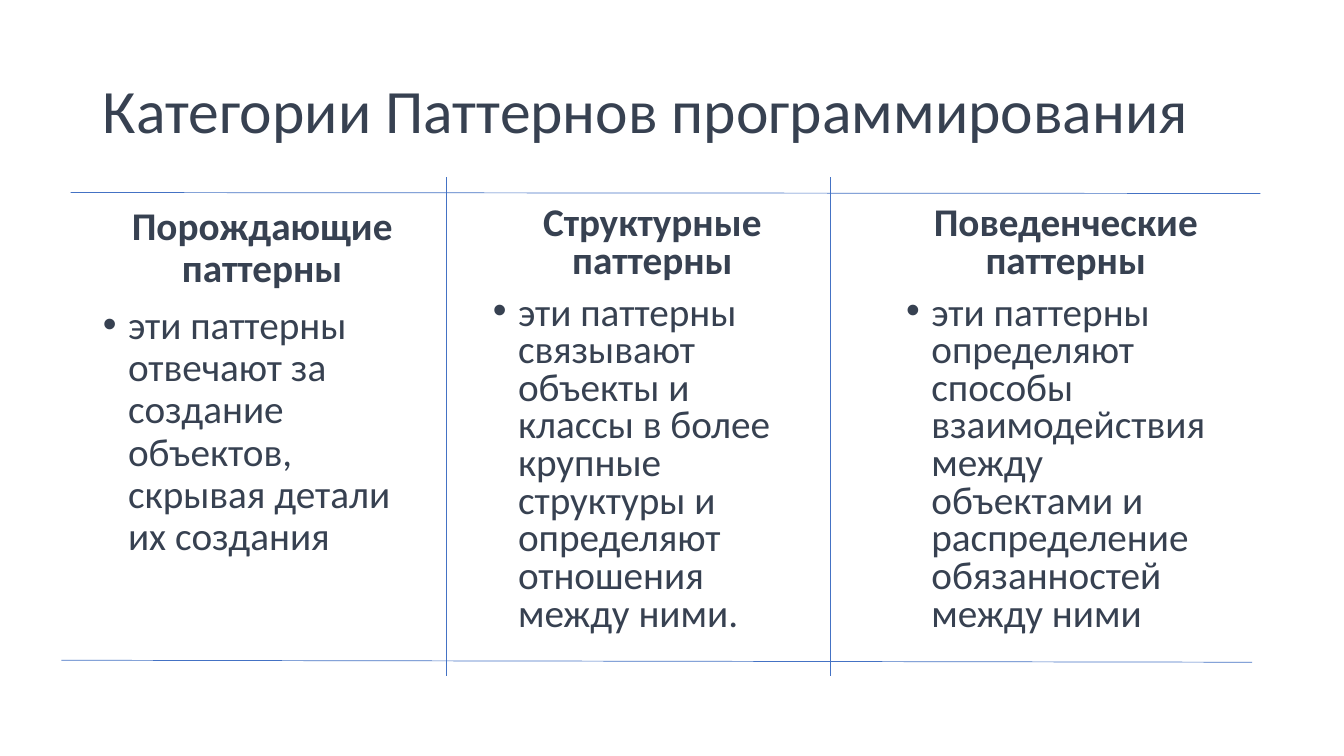
from lxml.etree import SubElement
from pptx import Presentation
from pptx.dml.color import RGBColor
from pptx.enum.shapes import MSO_CONNECTOR
from pptx.enum.text import MSO_ANCHOR, MSO_AUTO_SIZE, PP_ALIGN
from pptx.oxml.ns import qn
from pptx.util import Inches, Pt

INK = RGBColor(0x37, 0x41, 0x51)
RULE = RGBColor(0x44, 0x72, 0xC4)
FONT = "Calibri"

HEADING = "Категории Паттернов программирования"
CATEGORIES = [
    (0.92, 0.9, "Порождающие паттерны",
     "эти паттерны отвечают за создание объектов, скрывая детали их создания"),
    (4.79, 0.8, "Структурные паттерны",
     "эти паттерны связывают объекты и классы в более крупные структуры "
     "и определяют отношения между ними."),
    (8.89, 0.8, "Поведенческие паттерны",
     "эти паттерны определяют способы взаимодействия между объектами "
     "и распределение обязанностей между ними"),
]
COLUMN_TOP, COLUMN_WIDTH, COLUMN_HEIGHT = 2, 3.36, 4.48
DIVIDERS = [
    (8.24, 1.76, 8.24, 6.71),
    (12.42, 6.57, 0.61, 6.55),
    (12.5, 1.92, 0.7, 1.91),
    (4.43, 1.76, 4.43, 6.71),
]


def place(shape, left, top, width, height):
    shape.left, shape.top = Inches(left), Inches(top)
    shape.width, shape.height = Inches(width), Inches(height)


def style(paragraph, size, align, spacing, before, bold=False):
    paragraph.alignment = align
    paragraph.line_spacing = spacing
    paragraph.space_before = Pt(before)
    for run in paragraph.runs:
        run.font.name, run.font.size = FONT, Pt(size)
        run.font.bold = bold
        run.font.color.rgb = INK


def set_bullet(paragraph, bulleted):
    props = paragraph._p.get_or_add_pPr()
    indent = Inches(0.25) if bulleted else 0
    props.set("marL", str(indent))
    props.set("indent", str(-indent))
    if bulleted:
        SubElement(props, qn("a:buFont"), typeface="Arial")
        SubElement(props, qn("a:buChar"), char="•")
    else:
        SubElement(props, qn("a:buNone"))


def fill_column(frame, spacing, category, description):
    frame.word_wrap = True
    frame.auto_size = MSO_AUTO_SIZE.NONE
    frame.text = f"{category}\n{description}"
    name, detail = frame.paragraphs
    style(name, 28, PP_ALIGN.CENTER, spacing, 10, bold=True)
    set_bullet(name, False)
    style(detail, 28, PP_ALIGN.LEFT, spacing, 10)
    set_bullet(detail, True)


def add_divider(slide, *ends):
    divider = slide.shapes.add_connector(MSO_CONNECTOR.STRAIGHT, *map(Inches, ends))
    divider.line.color.rgb = RULE
    divider.line.width = Pt(0.5)
    SubElement(divider._element.spPr, qn("a:effectLst"))


def main():
    """Build the slide on the categories of programming patterns."""
    deck = Presentation()
    deck.slide_width, deck.slide_height = Inches(13.33), Inches(7.5)
    slide = deck.slides.add_slide(deck.slide_layouts[1])

    title = slide.shapes.title
    place(title, 0.92, 0.4, 11.5, 1.45)
    title.text_frame.text = HEADING
    title.text_frame.vertical_anchor = MSO_ANCHOR.MIDDLE
    title.text_frame.auto_size = MSO_AUTO_SIZE.NONE
    style(title.text_frame.paragraphs[0], 44, PP_ALIGN.LEFT, 0.9, 0)

    for index, (left, spacing, category, description) in enumerate(CATEGORIES):
        if index == 0:
            column = slide.placeholders[1]
        else:
            column = slide.shapes.add_textbox(0, 0, 0, 0)
        place(column, left, COLUMN_TOP, COLUMN_WIDTH, COLUMN_HEIGHT)
        fill_column(column.text_frame, spacing, category, description)

    for ends in DIVIDERS:
        add_divider(slide, *ends)

    deck.save("out.pptx")


if __name__ == "__main__":
    main()
